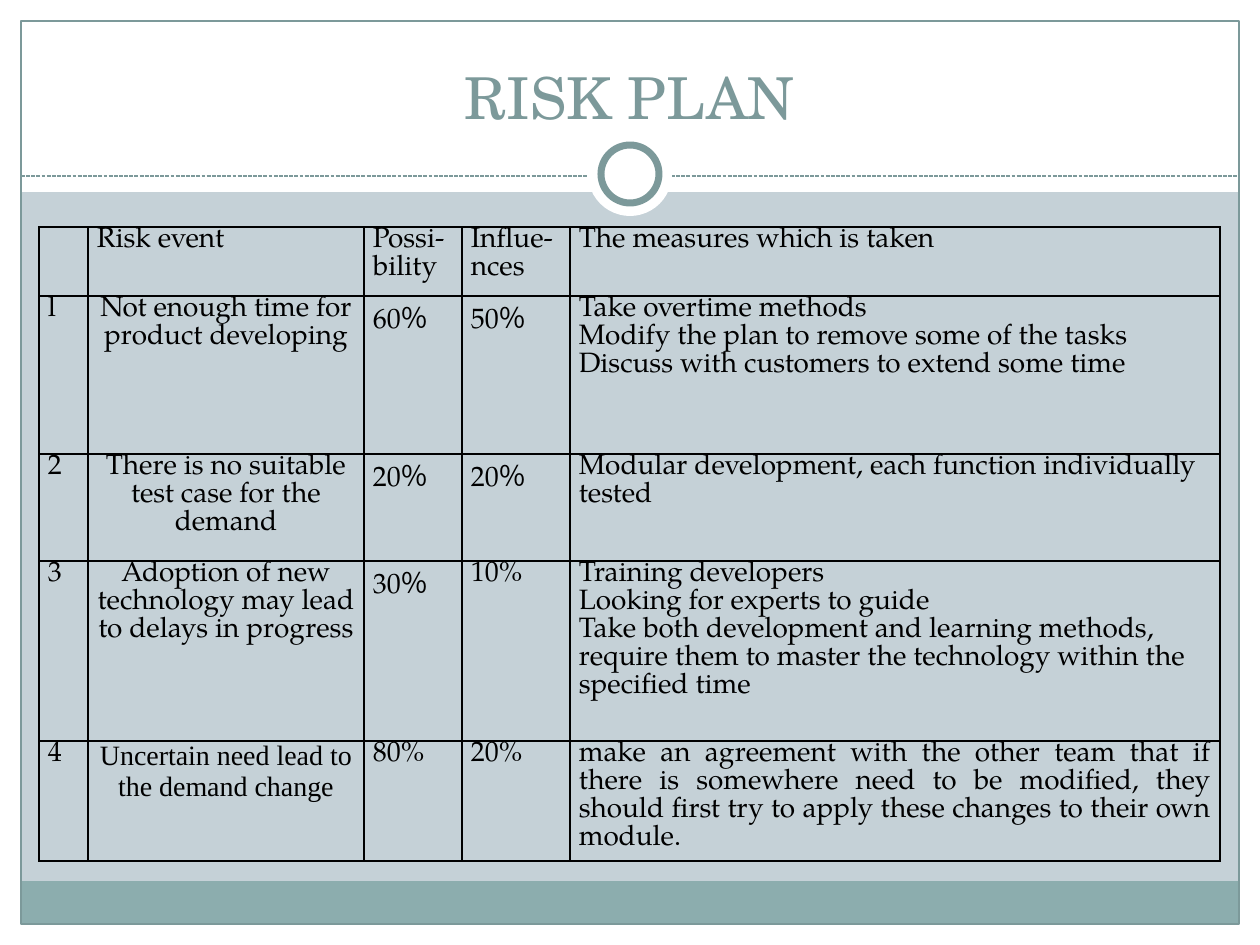
from dataclasses import dataclass

from lxml import etree
from pptx import Presentation
from pptx import util as u
from pptx.dml.color import RGBColor
from pptx.enum import dml, shapes, text
from pptx.oxml.ns import qn

SCALE = u.Inches(1) / 126
WIDE, HIGH = 1260, 945


@dataclass(frozen=True)
class Theme:
    back: str = "C5D1D7"
    white: str = "FFFFFF"
    band: str = "8CADAE"
    line: str = "7C999A"
    ink: str = "000000"
    head: str = "TeX Gyre Schola"
    body: str = "TeX Gyre Pagella"
    plain: str = "Times New Roman"
    big: int = 33
    small: int = 16


T = Theme()
LEFT, MID, JUST = (text.PP_ALIGN.LEFT, text.PP_ALIGN.CENTER,
                   text.PP_ALIGN.JUSTIFY)
COLS = [49, 276, 98, 108, 650]
ROWS = [69, 158, 107, 180, 120]
RISKS = [
    ["", "Risk event", "Possi-bility", "Influe-nces",
     "The measures which is taken"],
    ["l", "Not enough time for product developing", "60％", "50％",
     "Take overtime methods\n"
     "Modify the plan to remove some of the tasks\n"
     "Discuss with customers to extend some time"],
    ["2", "There is no suitable test case for the demand", "20％", "20％",
     "Modular development, each function individually tested"],
    ["3", "Adoption of new technology may lead to delays in progress",
     "30％", "10%",
     "Training developers\n"
     "Looking for experts to guide\n"
     "Take both development and learning methods, require them to master "
     "the technology within the specified time"],
    ["4", "Uncertain need lead to the demand change", "80%", "20%",
     "make an agreement with the other team that if there is somewhere need "
     "to be modified, they should first try to apply these changes to their "
     "own module."],
]


def px(*vals):
    return [u.Emu(round(v * SCALE)) for v in vals]


def rgb(hue):
    return RGBColor.from_string(hue)


def style(font, face, size, hue):
    font.name, font.size = face, u.Pt(size)
    font.color.rgb = rgb(hue)


def shape(slide, kind, box, fill=None, line=None, width=0.75):
    item = slide.shapes.add_shape(kind, *px(*box))
    item.shadow.inherit = False
    if fill:
        item.fill.solid()
        item.fill.fore_color.rgb = rgb(fill)
    else:
        item.fill.background()
    if line:
        item.line.color.rgb = rgb(line)
        item.line.width = u.Pt(width)
    else:
        item.line.fill.background()


def dash(slide, x1, x2, y):
    rule = slide.shapes.add_connector(
        shapes.MSO_CONNECTOR.STRAIGHT, *px(x1, y, x2, y))
    rule.line.color.rgb = rgb(T.line)
    rule.line.width = u.Pt(0.75)
    rule.line.dash_style = dml.MSO_LINE.SQUARE_DOT
    etree.SubElement(rule.element.spPr, qn("a:effectLst"))


def frame(slide):
    """Draw the white margins, foot band, outline, rule and ring."""
    rect, oval = shapes.MSO_SHAPE.RECTANGLE, shapes.MSO_SHAPE.OVAL
    edge = 21
    for box in [(0, HIGH - edge, WIDE, edge), (0, 0, WIDE, 192),
                (0, 0, edge, HIGH), (WIDE - edge, 0, edge, HIGH)]:
        shape(slide, rect, box, T.white)
    inner = WIDE - 2 * edge
    shape(slide, rect, (edge, 881, inner, 43), T.band)
    shape(slide, rect, (edge, edge, inner, HIGH - 2 * edge), line=T.line)
    dash(slide, edge, WIDE - edge, 176)
    shape(slide, oval, (588, 132, 84, 84), T.white)
    shape(slide, oval, (601, 145, 58, 58), T.white, T.line, 4)


def title(slide, words):
    item = slide.shapes.title
    item.left, item.top, item.width, item.height = px(42, 32, 1176, 105)
    body = item.text_frame
    body.text = words
    body.auto_size = text.MSO_AUTO_SIZE.NONE
    body.vertical_anchor = text.MSO_ANCHOR.BOTTOM
    para = body.paragraphs[0]
    para.alignment = MID
    style(para.font, T.head, T.big, T.line)
    item.element.getparent().append(item.element)  # in front of the frame


def border(cell):
    props = cell._tc.get_or_add_tcPr()
    for side in ("lnL", "lnR", "lnT", "lnB"):
        line = etree.SubElement(props, qn("a:" + side), w=str(u.Pt(1)))
        fill = etree.SubElement(line, qn("a:solidFill"))
        etree.SubElement(fill, qn("a:srgbClr"), val=T.ink)


def write(cell, words, face, align):
    """Fill a cell; a full-width percent sign gets the plain face."""
    cell.margin_left = cell.margin_right = px(9)[0]
    cell.margin_top = cell.margin_bottom = 0
    cell.text = words.rstrip("％")
    for para in cell.text_frame.paragraphs:
        para.alignment = align
        style(para.font, face, T.small, T.ink)
        for run in para.runs:
            style(run.font, face, T.small, T.ink)
    if words.endswith("％"):
        run = cell.text_frame.paragraphs[0].add_run()
        run.text = "％"
        style(run.font, T.plain, T.small, T.ink)


def table(slide):
    grid = slide.shapes.add_table(
        len(ROWS), len(COLS), *px(39, 227, sum(COLS), sum(ROWS))).table
    grid.first_row = grid.horz_banding = False
    for col, wide in zip(grid.columns, COLS):
        col.width = px(wide)[0]
    for row, high in zip(grid.rows, ROWS):
        row.height = px(high)[0]
    last = len(ROWS) - 1
    for r, line in enumerate(RISKS):
        for c, words in enumerate(line):
            cell = grid.cell(r, c)
            face = T.plain if (r, c) == (last, 1) else T.body
            align = JUST
            if r > 0 and c == 1:
                align = MID
            elif 0 < r < last and c == 4:
                align = LEFT
            write(cell, words, face, align)
            border(cell)
            cell.fill.background()


def main():
    deck = Presentation()
    deck.slide_width, deck.slide_height = px(WIDE, HIGH)
    slide = deck.slides.add_slide(deck.slide_layouts[5])
    slide.background.fill.solid()
    slide.background.fill.fore_color.rgb = rgb(T.back)
    frame(slide)
    title(slide, "RISK PLAN")
    table(slide)
    deck.save("out.pptx")


if __name__ == "__main__":
    main()
